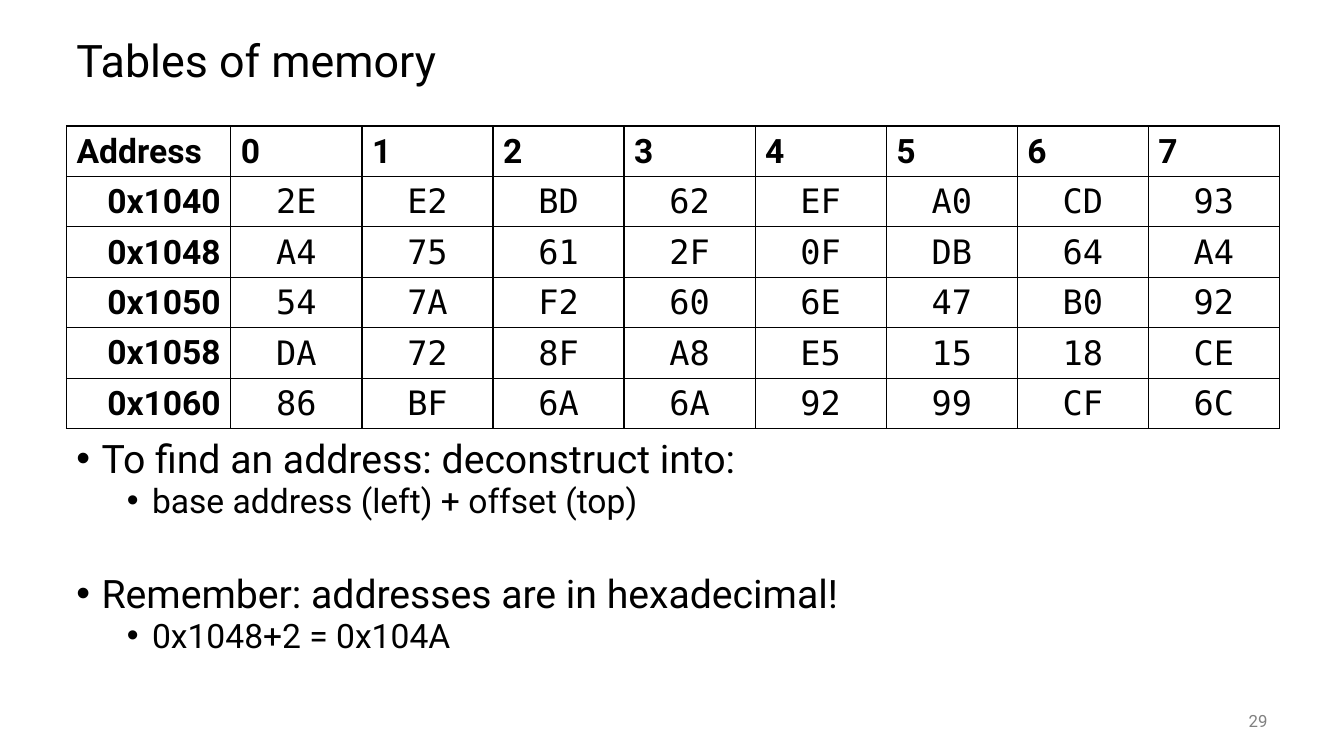
from lxml import etree
from pptx import Presentation
from pptx.dml.color import RGBColor
from pptx.enum import text
from pptx.oxml import ns
from pptx.util import Inches, Pt

BLACK = RGBColor(0, 0, 0)
GRAY = RGBColor(0x80, 0x80, 0x80)
SANS = "Roboto"
MONO = "DejaVu Sans Mono"
LEFT, CENTER, RIGHT = text.PP_ALIGN.LEFT, text.PP_ALIGN.CENTER, text.PP_ALIGN.RIGHT
TOP, MIDDLE, BOTTOM = text.MSO_ANCHOR.TOP, text.MSO_ANCHOR.MIDDLE, text.MSO_ANCHOR.BOTTOM

BASE_ADDRESS = 0x1040
MEMORY = [
    "2E E2 BD 62 EF A0 CD 93",
    "A4 75 61 2F 0F DB 64 A4",
    "54 7A F2 60 6E 47 B0 92",
    "DA 72 8F A8 E5 15 18 CE",
    "86 BF 6A 6A 92 99 CF 6C",
]
NOTES = [
    ("To find an address: deconstruct into:", 0, 0),
    ("base address (left) + offset (top)", 1, 5),
    ("Remember: addresses are in hexadecimal!", 0, 41.5),
    ("0x1048+2 = 0x104A", 1, 5),
]


def style(para, size, color=BLACK, face=SANS, bold=False, align=LEFT):
    para.alignment = align
    para.font.size = Pt(size)
    para.font.name = face
    para.font.bold = bold
    para.font.color.rgb = color


def add_box(page, left, top, width, height, anchor=TOP):
    box = page.shapes.add_textbox(Inches(left), Inches(top), Inches(width), Inches(height))
    frame = box.text_frame
    frame.word_wrap = True
    frame.vertical_anchor = anchor
    return frame


def add_bullet(para, level):
    para.level = level
    properties = para._p.get_or_add_pPr()
    properties.set("marL", str(Inches(0.25 + 0.5 * level)))
    properties.set("indent", str(Inches(-0.25)))
    etree.SubElement(properties, ns.qn("a:buFont"), typeface="Arial")
    etree.SubElement(properties, ns.qn("a:buChar"), char="•")


def add_notes(page):
    frame = add_box(page, 0.66, 4.35, 12, 2.4)
    for index, (words, level, space) in enumerate(NOTES):
        para = frame.add_paragraph() if index else frame.paragraphs[0]
        para.text = words
        para.line_spacing = 0.8
        para.space_before = Pt(space)
        add_bullet(para, level)
        style(para, 28 - 4 * level)


def add_borders(cell):
    properties = cell._tc.get_or_add_tcPr()
    for side in ("lnL", "lnR", "lnT", "lnB"):
        line = etree.SubElement(properties, ns.qn(f"a:{side}"), w=str(Pt(1)))
        fill = etree.SubElement(line, ns.qn("a:solidFill"))
        etree.SubElement(fill, ns.qn("a:srgbClr"), val=str(BLACK))


def fill_cell(cell, words, face, bold, align):
    add_borders(cell)
    cell.fill.background()
    cell.vertical_anchor = BOTTOM
    cell.text = words
    style(cell.text_frame.paragraphs[0], 24, face=face, bold=bold, align=align)


def add_memory_table(page):
    rows = [["Address", *map(str, range(8))]]
    for index, values in enumerate(MEMORY):
        rows.append([f"0x{BASE_ADDRESS + 8 * index:X}", *values.split()])
    table = page.shapes.add_table(
        len(rows), 9, Inches(0.66), Inches(1.25), Inches(12), Inches(2.95)
    ).table
    table.first_row = table.horz_banding = False
    for index, column in enumerate(table.columns):
        column.width = Inches(1.3 if index else 1.63)
    for r, values in enumerate(rows):
        table.rows[r].height = Inches(0.49)
        for c, words in enumerate(values):
            if r and c:
                fill_cell(table.cell(r, c), words, MONO, False, CENTER)
            else:
                fill_cell(table.cell(r, c), words, SANS, True, RIGHT if r else LEFT)


def main():
    deck = Presentation()
    deck.slide_width, deck.slide_height = Inches(13.33), Inches(7.5)
    page = deck.slides.add_slide(deck.slide_layouts[6])

    title = add_box(page, 0.66, 0.25, 12, 0.75, MIDDLE).paragraphs[0]
    title.text = "Tables of memory"
    title.line_spacing = 0.9
    style(title, 32)

    add_notes(page)

    number = add_box(page, 11.67, 6.95, 1, 0.4, MIDDLE).paragraphs[0]
    number.text = "29"
    style(number, 12, GRAY, align=RIGHT)

    add_memory_table(page)
    deck.save("out.pptx")


if __name__ == "__main__":
    main()
